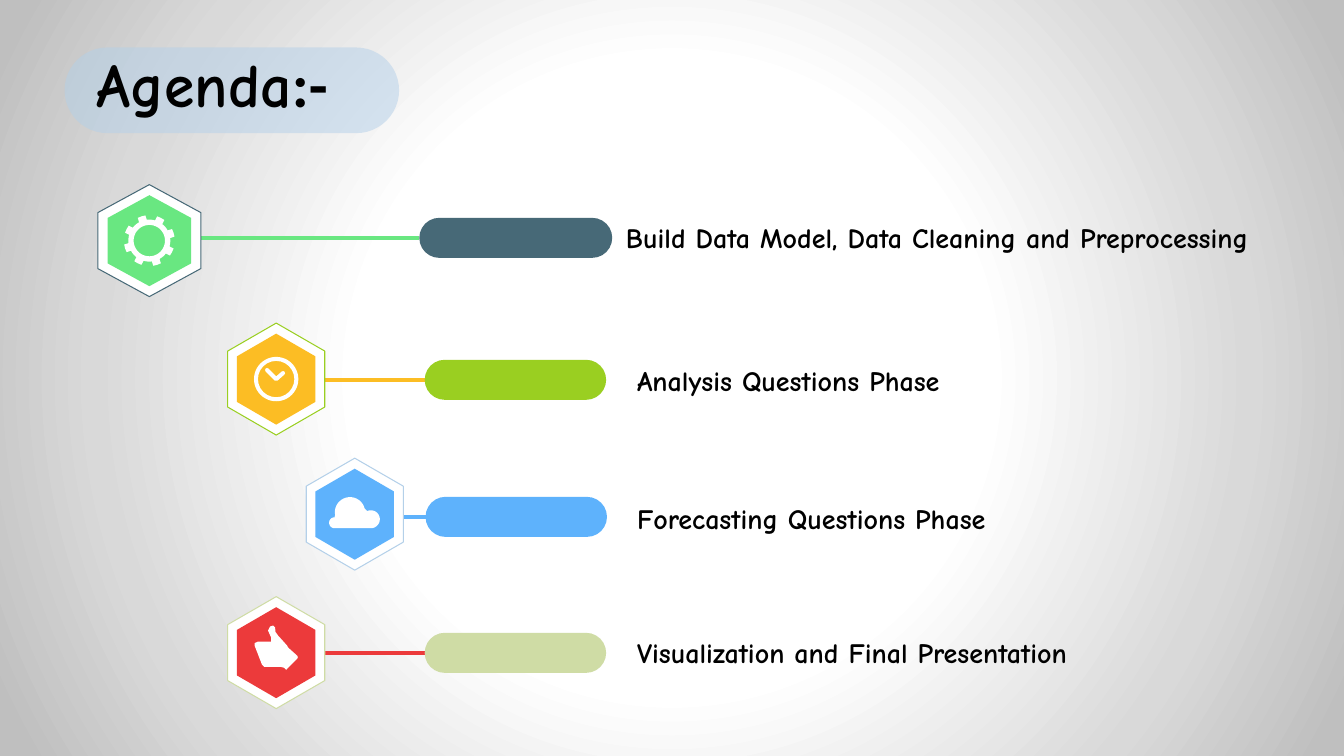
from dataclasses import dataclass
from math import cos, radians, sin

from lxml.etree import SubElement
from pptx import Presentation
from pptx.dml.color import RGBColor
from pptx.enum.shapes import MSO_CONNECTOR as CXN, MSO_SHAPE as SHAPE
from pptx.enum.text import MSO_ANCHOR as ANCHOR, PP_ALIGN as ALIGN
from pptx.oxml import parse_xml
from pptx.oxml.ns import nsdecls, qn
from pptx.util import Pt


@dataclass(frozen=True)
class Theme:
    font: str = "Comic Neue"
    mark_font: str = "Calibri"
    title_size: float = 44
    item_size: float = 20
    ink: str = "000000"
    white: str = "FFFFFF"
    title_pill: str = "B4D0E9"
    backdrop: tuple = ((41, "FFFFFF"), (75, "D9D9D9"), (97, "BFBFBF"))
    green: tuple = ("69E781", "476977", "476977")  # accent, hexagon border, pill
    amber: tuple = ("FCBD24", "9ACF21", "9ACF21")
    blue: tuple = ("5EB2FC", "B4D0E9", "5EB2FC")
    red: tuple = ("EC3A3B", "CFDCA5", "CFDCA5")


THEME = Theme()
THUMB = [(-2.2, -19.4), (-4.3, -18.7), (-5.8, -15.8), (-3.6, -10.8), (-3.6, -7.9),
         (-13, -7.9), (-15.4, -6.8), (-15.4, -5), (-10.1, 8.6), (-8.6, 10.1),
         (2.9, 10.1), (5.8, 10.8), (7.2, 12.2), (7.9, 11.5), (15.1, 4.3),
         (15.5, 3.2), (15.1, 2.2), (8.6, -3.6), (7.9, -5), (1.4, -12.2),
         (-0.6, -15), (-0.7, -18)]


def rgb(color):
    return RGBColor.from_string(color)


def paint(sp, fill=None, line=None, width=0.75):
    sp.shadow.inherit = False
    if fill:
        sp.fill.solid()
        sp.fill.fore_color.rgb = rgb(fill)
    else:
        sp.fill.background()
    if line:
        sp.line.color.rgb = rgb(line)
        sp.line.width = Pt(width)
    else:
        sp.line.fill.background()
    return sp


def arc(cx, cy, radius, start, end, steps=24):
    """Points along a circle, angles in degrees, clockwise from the right."""
    angles = [radians(start + (end - start) * i / steps) for i in range(steps + 1)]
    return [(cx + radius * cos(a), cy + radius * sin(a)) for a in angles]


def outline(shapes, center, *contours, close=True):
    """Freeform from contours given relative to a center; later ones cut holes."""
    placed = [[(Pt(center[0] + x), Pt(center[1] + y)) for x, y in c] for c in contours]
    builder = shapes.build_freeform(*placed[0][0], scale=1.0)
    for i, points in enumerate(placed):
        if i:
            builder.move_to(*points[0])
        builder.add_line_segments(points[1:], close=close)
    return builder.convert_to_shape()


def hexagon(shapes, center, width, height):
    x, y = width / 2, height / 2
    return outline(shapes, center, [(0, -y), (-x, -y / 2), (-x, y / 2),
                                    (0, y), (x, y / 2), (x, -y / 2)])


def pill(shapes, left, top, width, height, color):
    sp = shapes.add_shape(SHAPE.ROUNDED_RECTANGLE, Pt(left), Pt(top), Pt(width), Pt(height))
    sp.adjustments[0] = 0.5
    return paint(sp, color)


def gear_icon(shapes, center):
    rim = []
    for tooth in range(8):
        middle = -108 + 45 * tooth
        rim += arc(0, 0, 18.2, middle - 9, middle + 9, 2)
        rim += arc(0, 0, 15, middle + 11, middle + 34, 4)
    paint(outline(shapes, center, rim, arc(0, 0, 11.2, 0, 360, 48)), THEME.white)


def clock_icon(shapes, center):
    size = 31.7
    left, top = (Pt(c - size / 2) for c in center)
    face = shapes.add_shape(SHAPE.DONUT, left, top, Pt(size), Pt(size))
    face.adjustments[0] = 0.09
    paint(face, THEME.white)
    hands = outline(shapes, center, [(-6.5, -6.5), (0, 0), (4.9, -4.3)], close=False)
    paint(hands, line=THEME.white, width=2.9)
    hands.line._get_or_add_ln().set("cap", "rnd")


def cloud_icon(shapes, center):
    puffs = (arc(-14.4, 6.1, 3.9, 90, 270) + arc(-3.4, -1.4, 10.8, 170, 345)
             + arc(11.5, 3.6, 6.4, -115, 90))
    paint(outline(shapes, center, puffs), THEME.white)


def thumb_icon(shapes, center):
    paint(outline(shapes, center, THUMB), THEME.white)


def format_text(tf, runs, size, level=0):
    """Fill the frame with one paragraph of (text, font name) runs."""
    tf.word_wrap = True
    tf.vertical_anchor = ANCHOR.MIDDLE
    for side in ("left", "top", "right", "bottom"):
        setattr(tf, f"margin_{side}", Pt(9.36))
    p = tf.paragraphs[0]
    p.alignment = ALIGN.LEFT
    p.level = level
    if level:
        p._p.get_or_add_pPr().set("marL", str(Pt(36 * level)))
    for text, name in runs:
        r = p.add_run()
        r.text = text
        for key, value in {"name": name, "size": Pt(size), "bold": True}.items():
            setattr(r.font, key, value)
        r.font.color.rgb = rgb(THEME.ink)
    return p


def agenda_item(slide, center, hex_width, bar, label, text, colors, icon):
    """One row: hexagon with icon, line, pill and text; bar and label are left, middle, width."""
    accent, border, pill_color = colors
    shapes = slide.shapes.add_group_shape().shapes
    left, middle, width = bar
    line = shapes.add_connector(CXN.STRAIGHT, Pt(center[0] + 22), Pt(middle), Pt(left), Pt(middle))
    line.line.color.rgb = rgb(accent)
    line.line.width = Pt(2.65)
    SubElement(line._element.spPr, qn("a:effectLst"))
    paint(hexagon(shapes, center, hex_width, 80), THEME.white, border)
    paint(hexagon(shapes, center, hex_width * 0.81, 65), accent)
    icon(shapes, center)
    line.end_connect(pill(shapes, left, middle - 14.3, width, 28.6, pill_color), 1)
    x, y, w, level = label
    box = shapes.add_textbox(Pt(x), Pt(y - 15.85), Pt(w), Pt(31.7))
    format_text(box.text_frame, [(text, THEME.font)], THEME.item_size, level)


def radial_background(slide):
    stops = "".join(f'<a:gs pos="{pos * 1000}"><a:srgbClr val="{color}"/></a:gs>'
                    for pos, color in THEME.backdrop)
    slide.background.fill.solid()
    solid = slide.element.find(".//" + qn("p:bgPr")).find(qn("a:solidFill"))
    solid.getparent().replace(solid, parse_xml(
        f'<a:gradFill {nsdecls("a")} rotWithShape="1"><a:gsLst>{stops}</a:gsLst>'
        '<a:path path="circle"><a:fillToRect l="50000" t="50000" r="50000" b="50000"/>'
        '</a:path></a:gradFill>'))


def add_title(slide):
    plate = pill(slide.shapes, 46.1, 33.9, 239, 61.2, THEME.title_pill)
    color = plate._element.spPr.find(qn("a:solidFill"))[0]
    SubElement(color, qn("a:alpha"), val="50000")
    title = slide.shapes.title
    place = {"left": 59.8, "top": 37.4, "width": 300.2, "height": 50.4}
    for key, value in place.items():
        setattr(title, key, Pt(value))
    p = format_text(title.text_frame, [("Agenda", THEME.font), (":-", THEME.mark_font)],
                    THEME.title_size)
    p.line_spacing = 0.9
    plate._element.addnext(title._element)


def main():
    prs = Presentation()
    prs.slide_width, prs.slide_height = Pt(960), Pt(540)
    slide = prs.slides.add_slide(prs.slide_layouts[5])
    radial_background(slide)
    items = [
        ((106.7, 171.9), 73.6, (299.5, 169.9, 137.8), (437.8, 169.2, 522.2, 0),
         "Build Data Model, Data Cleaning and Preprocessing", THEME.green, gear_icon),
        ((197.3, 270.8), 69.3, (303.4, 271.3, 129.6), (445.7, 271.4, 266.4, 0),
         "Analysis Questions Phase", THEME.amber, clock_icon),
        ((253.4, 367.3), 69.3, (304, 369.2, 129.6), (409.7, 370.1, 359.3, 1),
         "Forecasting Questions Phase", THEME.blue, cloud_icon),
        ((197.3, 466.2), 69.3, (303.4, 466.3, 129.6), (445.7, 465.9, 464.4, 0),
         "Visualization and Final Presentation", THEME.red, thumb_icon),
    ]
    for item in items:
        agenda_item(slide, *item)
    add_title(slide)
    prs.save("out.pptx")


if __name__ == "__main__":
    main()
